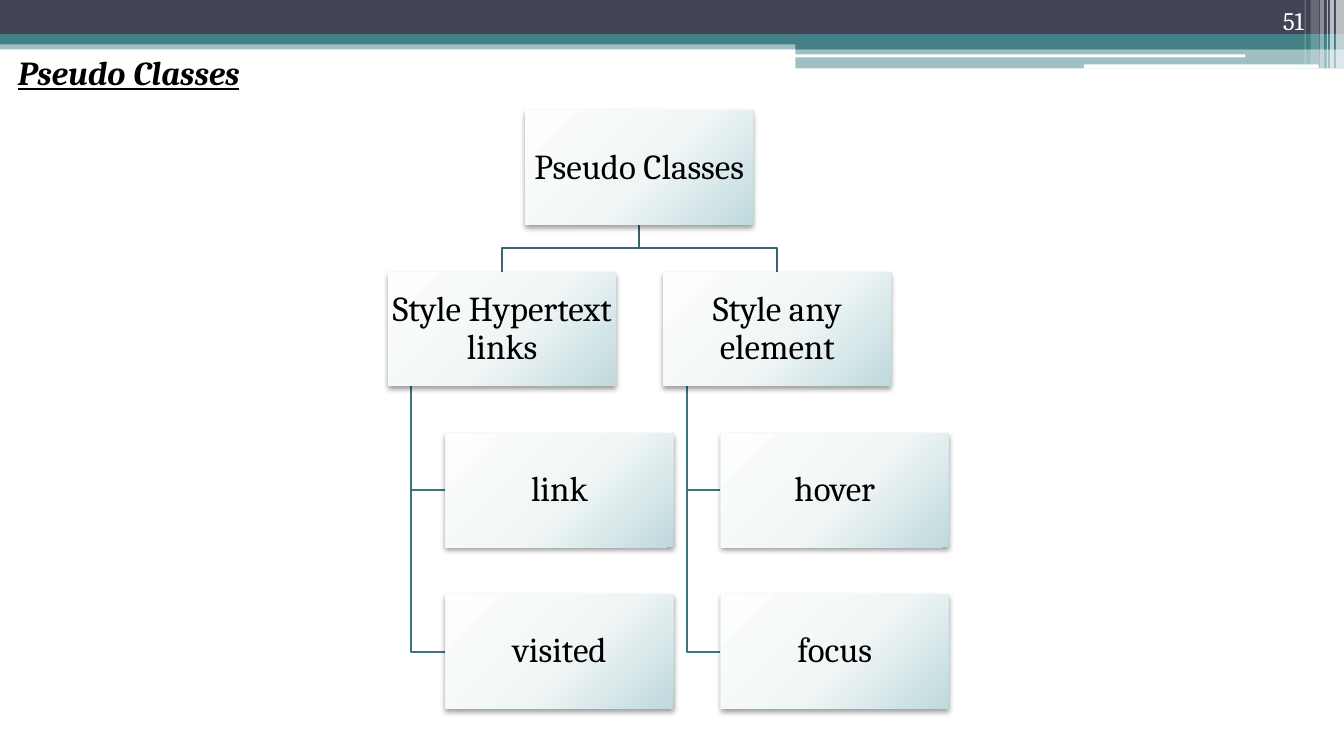
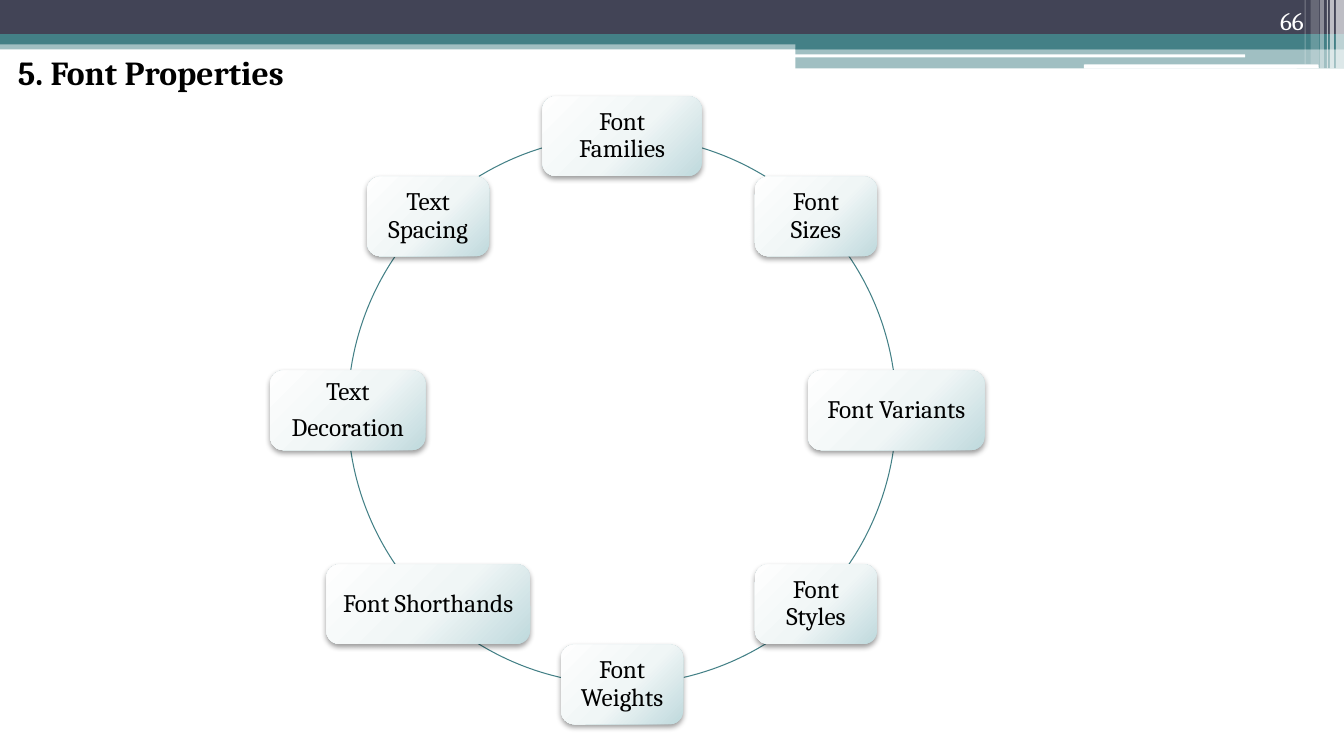
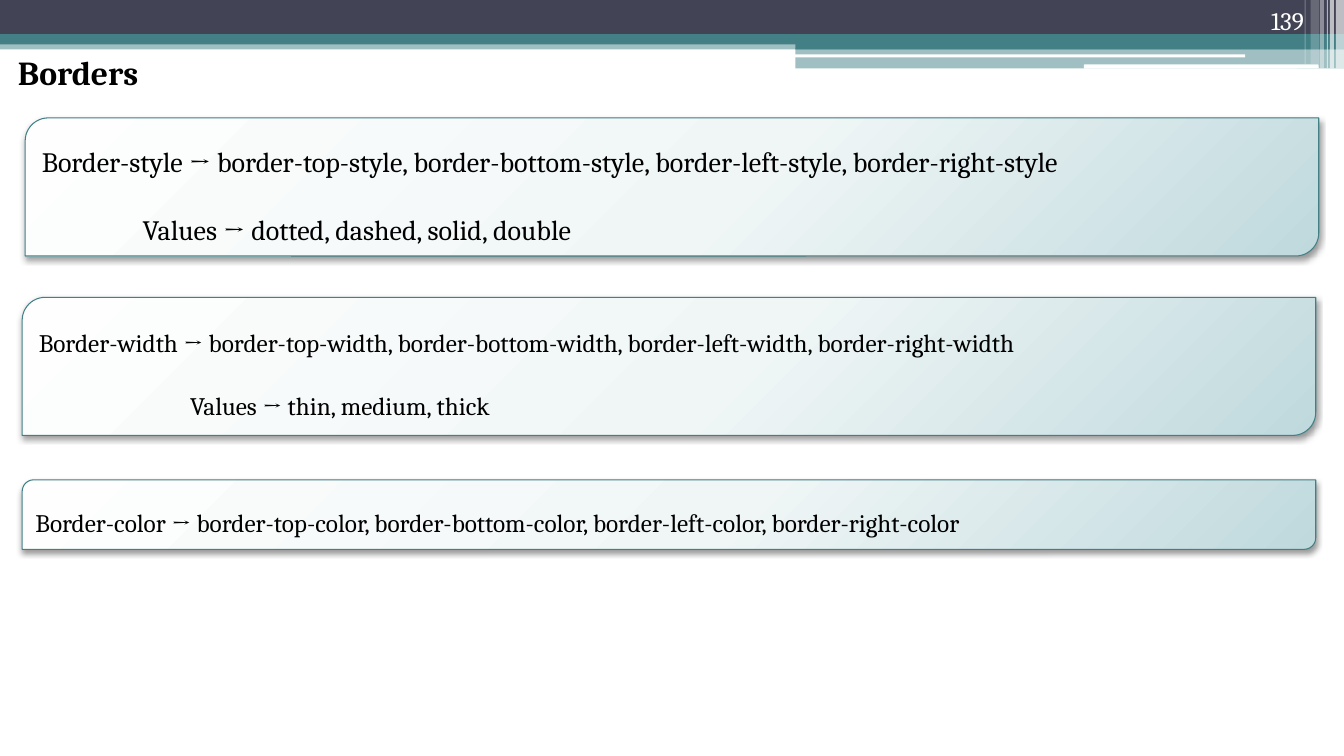
from math import cos, radians, sin

from lxml import etree
from pptx import Presentation
from pptx.dml.color import RGBColor as RGB
from pptx.enum.shapes import MSO_SHAPE as KIND
from pptx.enum.text import MSO_ANCHOR as ANCHOR, PP_ALIGN as ALIGN
from pptx.oxml import parse_xml
from pptx.oxml.ns import qn
from pptx.util import Inches, Pt

FONT = "Cambria"
HEX = {"navy": "424456", "teal": "438086", "white": "FFFFFF", "black": "000000",
       "stem": "36676B", "branch": "3D747A",
       "pale": "FEFEFE", "mist": "F0F6F6", "ice": "BFD9DD"}
STOPS = "".join(f'<a:gs pos="{pos}000"><a:srgbClr val="{HEX[name]}"/></a:gs>'
                for pos, name in ((0, "pale"), (55, "mist"), (100, "ice")))
GRAD = ('<a:gradFill xmlns:a="http://schemas.openxmlformats.org/drawingml/2006/main" '
        f'rotWithShape="1"><a:gsLst>{STOPS}</a:gsLst><a:path path="circle">'
        '<a:fillToRect l="-40000" t="-90000" r="140000" b="190000"/></a:path></a:gradFill>')

# kind, left, top, width, height, colour, opacity in percent
BANDS = [
    (KIND.RECTANGLE, 0, 0.4, 13.33, 0.09, "teal", 50),
    (KIND.RECTANGLE, 0, 0, 13.33, 0.34, "navy", 100),
    (KIND.RECTANGLE, 0, 0.34, 13.33, 0.1, "teal", 100),
    (KIND.RECTANGLE, 7.89, 0.39, 5.44, 0.1, "teal", 100),
    (KIND.RECTANGLE, 7.89, 0.48, 5.44, 0.2, "teal", 50),
    (KIND.ROUNDED_RECTANGLE, 7.88, 0.54, 4.47, 0.03, "white", 100),
    (KIND.ROUNDED_RECTANGLE, 10.75, 0.64, 2.33, 0.04, "white", 100),
    (KIND.RECTANGLE, 13.25, 0, 0.08, 0.68, "white", 65),
    (KIND.RECTANGLE, 13.19, 0, 0.04, 0.68, "white", 65),
    (KIND.RECTANGLE, 13.16, 0, 0.01, 0.68, "white", 60),
    (KIND.RECTANGLE, 13.09, 0, 0.04, 0.68, "white", 40),
    (KIND.RECTANGLE, 13, 0, 0.08, 0.64, "white", 20),
    (KIND.RECTANGLE, 12.94, 0, 0.01, 0.64, "white", 30),
]


def write(frame, text, size, color="black", align=ALIGN.LEFT):
    """Fill the frame, one paragraph per line of text, and return the paragraphs."""
    frame.word_wrap = True
    frame.text = text
    for para in frame.paragraphs:
        para.alignment = align
        para.font.name = FONT
        para.font.size = Pt(size)
        para.font.color.rgb = RGB.from_string(HEX[color])
    return frame.paragraphs


def card(slide, kind, left, top, width, height):
    """Add a box with the glossy gradient and a soft shadow below."""
    box = slide.shapes.add_shape(kind, Inches(left), Inches(top), Inches(width), Inches(height))
    box.line.fill.background()
    box.shadow.inherit = False
    box.fill.background()
    props = box._element.spPr
    props.replace(props.find(qn("a:noFill")), parse_xml(GRAD))
    glow = etree.SubElement(props.find(qn("a:effectLst")), qn("a:outerShdw"),
                            blurRad=str(Pt(4.1)), dist=str(Pt(2)), dir="5400000",
                            rotWithShape="0")
    tone = etree.SubElement(glow, qn("a:srgbClr"), val=HEX["black"])
    etree.SubElement(tone, qn("a:alpha"), val="40000")
    box.text_frame.vertical_anchor = ANCHOR.MIDDLE
    return box


deck = Presentation()
deck.slide_width, deck.slide_height = Inches(13.33), Inches(7.5)

# Shared bands, titles and page numbers
slides = []
for title, page in (("Pseudo Classes", 51), ("5. Font Properties", 66), ("Borders", 139)):
    slide = deck.slides.add_slide(deck.slide_layouts[6])
    slides.append(slide)
    for kind, left, top, width, height, color, alpha in BANDS:
        band = slide.shapes.add_shape(kind, Inches(left), Inches(top),
                                      Inches(width), Inches(height))
        band.shadow.inherit = False
        band.line.fill.background()
        band.fill.solid()
        band.fill.fore_color.rgb = RGB.from_string(HEX[color])
        if alpha < 100:
            tone = band._element.spPr.find(qn("a:solidFill"))[0]
            etree.SubElement(tone, qn("a:alpha"), val=str(alpha * 1000))
    head = slide.shapes.add_textbox(Inches(0.08), Inches(0.47), Inches(7.58), Inches(0.5))
    font = write(head.text_frame, title, 24)[0].font
    font.bold = True
    if page == 51:
        font.italic = font.underline = True
    num = slide.shapes.add_textbox(Inches(11.92), Inches(0), Inches(1.11), Inches(0.4))
    num.text_frame.vertical_anchor = ANCHOR.BOTTOM
    write(num.text_frame, str(page), 18, "white", ALIGN.RIGHT)
tree, ring, rules = slides

# Tree of pseudo classes
WIDE, HIGH, STEP, TOP = 2.26, 1.13, 1.6, 1.1
ROOT = 5.21
nodes = [(ROOT, TOP, "Pseudo Classes")]
wires = []
mid, low = ROOT + WIDE / 2, TOP + HIGH
for left, names in ((3.85, ("Style Hypertext links", "link", "visited")),
                    (6.58, ("Style any element", "hover", "focus"))):
    crown, bend = left + WIDE / 2, (low + TOP + STEP) / 2
    wires.append(("stem", [(mid, low), (mid, bend), (crown, bend), (crown, TOP + STEP)]))
    nodes.append((left, TOP + STEP, names[0]))
    trunk, leaf = left + 0.23, left + 0.57
    for row, name in enumerate(names[1:], 2):
        top = TOP + row * STEP
        nodes.append((leaf, top, name))
        wires.append(("branch", [(trunk, low + STEP), (trunk, top + HIGH / 2),
                                 (leaf, top + HIGH / 2)]))
for color, points in wires:
    start, *rest = [(Inches(x), Inches(y)) for x, y in points]
    pen = tree.shapes.build_freeform(*start)
    pen.add_line_segments(rest, close=False)
    wire = pen.convert_to_shape()
    wire.shadow.inherit = False
    wire.fill.background()
    wire.line.color.rgb = RGB.from_string(HEX[color])
    wire.line.width = Pt(1.5)
for left, top, name in nodes:
    frame = card(tree, KIND.RECTANGLE, left, top, WIDE, HIGH).text_frame
    frame.margin_left = frame.margin_right = Inches(0.02)
    frame.margin_top = frame.margin_bottom = Inches(0.02)
    write(frame, name, 25, align=ALIGN.CENTER)[0].line_spacing = 0.9

# Ring of font properties, clockwise from the top
MIDX, MIDY, RAD, TALL = 6.17, 4.07, 2.72, 0.79
loop = ring.shapes.add_shape(KIND.OVAL, Inches(MIDX - RAD), Inches(MIDY - RAD),
                             Inches(2 * RAD), Inches(2 * RAD))
loop.shadow.inherit = False
loop.fill.background()
loop.line.color.rgb = RGB.from_string(HEX["teal"])
loop.line.width = Pt(0.75)
props = [("Font Families", 1.58), ("Font Sizes", 1.21), ("Font Variants", 1.75),
         ("Font Styles", 1.21), ("Font Weights", 1.21), ("Font Shorthands", 2.02),
         ("Text\nDecoration", 1.54), ("Text Spacing", 1.21)]
for pos, (name, width) in enumerate(props):
    turn = radians(360 / len(props) * pos)
    left = MIDX + RAD * sin(turn) - width / 2
    top = MIDY - RAD * cos(turn) - TALL / 2
    frame = card(ring, KIND.ROUNDED_RECTANGLE, left, top, width, TALL).text_frame
    frame.margin_left = frame.margin_right = Inches(0.07)
    frame.margin_top = frame.margin_bottom = Inches(0.07)
    for para in write(frame, name, 18, align=ALIGN.CENTER):
        para.line_spacing = 0.9
        para.space_after = Pt(6)

# Border rules: left, top, height, text size, indent of the values, text
panels = [
    (0.25, 1.17, 1.37, 20, 1,
     "Border-style → border-top-style, border-bottom-style, border-left-style, "
     "border-right-style\nValues → dotted, dashed, solid, double"),
    (0.22, 2.95, 1.37, 18, 1.5,
     "Border-width → border-top-width, border-bottom-width, border-left-width, "
     "border-right-width\nValues → thin, medium, thick"),
    (0.22, 4.76, 0.69, 18, 0,
     "Border-color → border-top-color, border-bottom-color, border-left-color, "
     "border-right-color"),
]
for left, top, height, size, inset, text in panels:
    box = card(rules, KIND.ROUND_2_DIAG_RECTANGLE, left, top, 12.83, height)
    box.line.color.rgb = RGB.from_string(HEX["teal"])
    box.line.width = Pt(0.75)
    first, *rest = write(box.text_frame, text, size)
    first.line_spacing = 1.5
    for para in rest:
        para.line_spacing = 1.5
        para.space_before = Pt(12)
        para._p.get_or_add_pPr().set("marL", str(Inches(inset)))

deck.save("out.pptx")
